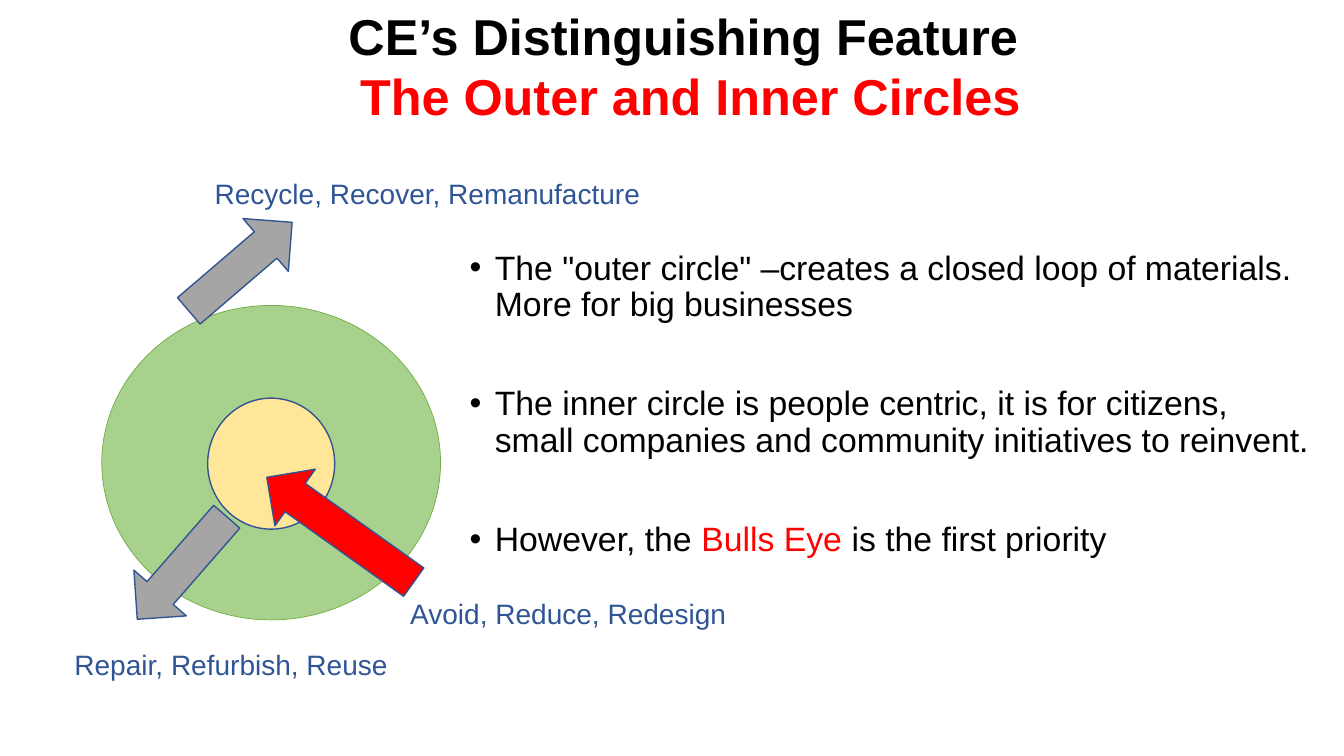
from lxml.etree import SubElement
from pptx import Presentation
from pptx.dml.color import RGBColor
from pptx.enum.shapes import MSO_SHAPE
from pptx.enum.text import PP_ALIGN
from pptx.oxml.ns import qn
from pptx.util import Inches, Pt

BLACK = RGBColor(0x00, 0x00, 0x00)
RED = RGBColor(0xFF, 0x00, 0x00)
LABEL_BLUE = RGBColor(0x2F, 0x55, 0x97)
OUTLINE_BLUE = RGBColor(0x32, 0x54, 0x91)
OUTER_GREEN = RGBColor(0xA9, 0xD1, 0x8E)
OUTER_EDGE = RGBColor(0x70, 0xAD, 0x47)
INNER_YELLOW = RGBColor(0xFF, 0xE6, 0x99)
ARROW_GREY = RGBColor(0xA5, 0xA5, 0xA5)

TITLE_FORMAT = {"name": "Arial", "size": Pt(36), "bold": True}
BODY_FORMAT = {"name": "Arial", "size": Pt(24.1)}
LABEL_FORMAT = {"name": "Arial", "size": Pt(20)}

TITLE_LINES = [
    [("CE’s Distinguishing Feature ", BLACK)],
    [("The Outer and Inner Circles", RED)],
]
BULLETS = [
    [('The "outer circle" –creates a closed loop of materials. '
      "More for big businesses", BLACK)],
    [("The inner circle is people centric, it is for citizens, "
      "small companies and community initiatives to reinvent.", BLACK)],
    [("However, the ", BLACK), ("Bulls Eye ", RED),
     ("is the first priority", BLACK)],
]
LABELS = [
    ("Repair, Refurbish, Reuse", (0.64, 6.37, 3.33, 0.44)),
    ("Recycle, Recover, Remanufacture", (2.03, 1.7, 4.46, 0.44)),
    ("Avoid, Reduce, Redesign", (3.97, 5.87, 3.36, 0.44)),
]
CIRCLES = [
    ((1.01, 3.03, 3.36, 3.12), OUTER_GREEN, OUTER_EDGE, 0.5),
    ((2.06, 3.95, 1.26, 1.3), INNER_YELLOW, OUTLINE_BLUE, 1),
]
ARROWS = [
    ((1.71, 2.3, 1.35, 0.69), ARROW_GREY, 319.4),
    ((1.13, 5.29, 1.35, 0.69), ARROW_GREY, 131.1),
    ((2.48, 4.91, 1.79, 0.69), RED, 215.5),
]


def apply_format(target, values):
    for name, value in values.items():
        setattr(target, name, value)


def add_text(slide, box, lines, font_format, wrap=False, paragraph_format=None):
    frame = slide.shapes.add_textbox(*map(Inches, box)).text_frame
    frame.word_wrap = wrap
    for index, line in enumerate(lines):
        paragraph = frame.add_paragraph() if index else frame.paragraphs[0]
        apply_format(paragraph, paragraph_format or {})
        for text, color in line:
            run = paragraph.add_run()
            run.text = text
            apply_format(run.font, font_format)
            run.font.color.rgb = color
    return frame.paragraphs


def add_bullets(slide, box, lines):
    paragraphs = add_text(slide, box, lines, BODY_FORMAT, wrap=True,
                          paragraph_format={"line_spacing": 0.9})
    for index, paragraph in enumerate(paragraphs):
        paragraph.space_before = Pt(45 if index else 0)
        properties = paragraph._p.get_or_add_pPr()
        properties.set("marL", str(Inches(0.25)))
        properties.set("indent", str(Inches(-0.25)))
        SubElement(properties, qn("a:buFont")).set("typeface", "Arial")
        SubElement(properties, qn("a:buChar")).set("char", "•")


def add_figure(slide, kind, box, fill, line_color, line_width, rotation=0):
    shape = slide.shapes.add_shape(kind, *map(Inches, box))
    shape.shadow.inherit = False
    shape.rotation = rotation
    shape.fill.solid()
    shape.fill.fore_color.rgb = fill
    shape.line.color.rgb = line_color
    shape.line.width = Pt(line_width)


def main():
    presentation = Presentation()
    presentation.slide_width = Inches(13.33)
    presentation.slide_height = Inches(7.5)
    slide = presentation.slides.add_slide(presentation.slide_layouts[6])

    add_text(slide, (3.32, 0, 7.06, 1.31), TITLE_LINES, TITLE_FORMAT,
             paragraph_format={"alignment": PP_ALIGN.CENTER})
    add_bullets(slide, (4.56, 2.44, 8.58, 3.36), BULLETS)
    for box, fill, line_color, line_width in CIRCLES:
        add_figure(slide, MSO_SHAPE.OVAL, box, fill, line_color, line_width)
    for box, fill, rotation in ARROWS:
        add_figure(slide, MSO_SHAPE.RIGHT_ARROW, box, fill, OUTLINE_BLUE, 1, rotation)
    for text, box in LABELS:
        add_text(slide, box, [[(text, LABEL_BLUE)]], LABEL_FORMAT)

    presentation.save("out.pptx")


if __name__ == "__main__":
    main()
